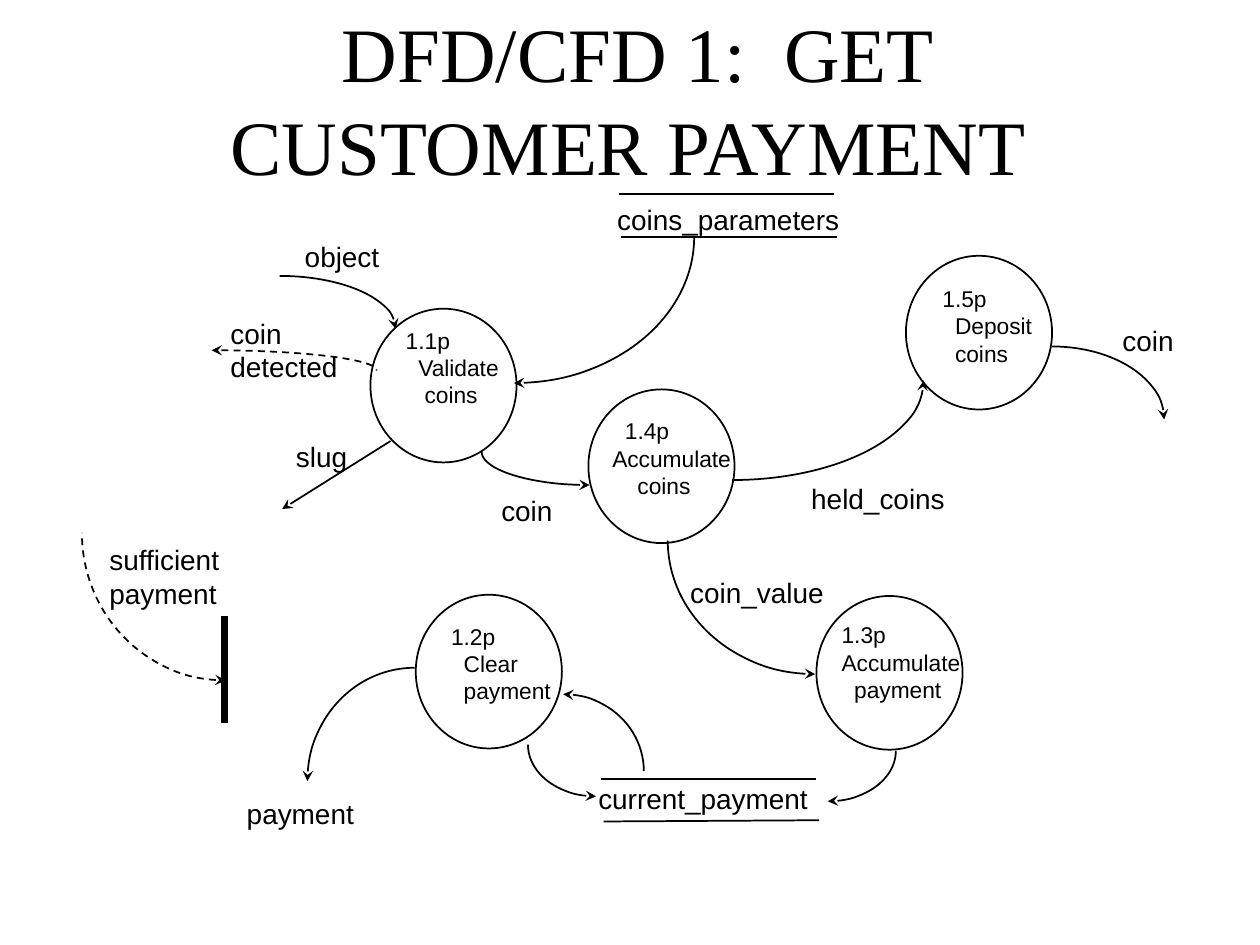
from dataclasses import dataclass

from lxml.etree import SubElement
from pptx import Presentation
from pptx.dml.color import RGBColor
from pptx.enum.dml import MSO_LINE_DASH_STYLE as DASH
from pptx.enum.shapes import MSO_CONNECTOR, MSO_SHAPE
from pptx.enum.text import MSO_ANCHOR, MSO_AUTO_SIZE, PP_ALIGN
from pptx.oxml.ns import qn
from pptx.util import Inches, Pt


@dataclass(frozen=True)
class Theme:
    ink: RGBColor = RGBColor(0, 0, 0)
    paper: RGBColor = RGBColor(255, 255, 255)
    title_font: str = "Times New Roman"
    body_font: str = "Arial"
    title_size: int = 44
    label_size: int = 16
    process_size: int = 13
    thin: int = 1
    thick: int = 4


THEME = Theme()
PROCESS_SIZE = (1.16, 1.22)
SPACE = 0.05

TITLE = "DFD/CFD 1:  GET CUSTOMER PAYMENT "

# circle corner, text box, lines with their indent in spaces
PROCESSES = [
    ((7.19, 2.03), (7.3, 2.22, 0.97, 0.73), [("1.5p", 2), ("Deposit", 4), ("coins", 4)]),
    ((4.67, 3.09), (4.78, 3.27, 1.1, 0.73), [("1.4p", 2), ("Accumulate", 0), ("coins", 4)]),
    ((3.3, 4.72), (3.4, 4.9, 1.05, 0.73), [("1.2p", 2), ("Clear", 4), ("payment", 4)]),
    ((6.48, 4.73), (6.5, 4.89, 1.2, 0.73), [("1.3p", 2), ("Accumulate", 2), ("payment", 4)]),
    ((2.94, 2.45), (3.04, 2.55, 1.01, 0.73), [("1.1p", 2), ("Validate", 4), ("coins", 5)]),
]

LABELS = [
    (["object"], (2.32, 1.85, 0.79, 0.37)),
    (["slug"], (2.25, 3.44, 0.61, 0.37)),
    (["coins_parameters"], (4.8, 1.56, 1.96, 0.37)),
    (["coin"], (8.81, 2.52, 0.61, 0.37)),
    (["held_coins"], (6.34, 3.77, 1.26, 0.37)),
    (["coin"], (3.88, 3.87, 0.61, 0.37)),
    (["coin_value"], (5.38, 4.52, 1.26, 0.37)),
    (["sufficient", "payment"], (0.77, 4.26, 1.08, 0.63)),
    (["coin", "detected"], (1.73, 2.46, 1.05, 0.63)),
    (["payment"], (1.86, 6.27, 1.05, 0.37)),
    (["current_payment"], (4.65, 6.15, 1.87, 0.37)),
]

STORE_LINES = [
    ((4.91, 1.54), (6.62, 1.54)),
    ((4.93, 1.88), (6.64, 1.88)),
    ((4.77, 6.18), (6.48, 6.18)),
    ((4.79, 6.52), (6.5, 6.51)),
]
CONTROL_BAR = ((1.78, 4.89), (1.78, 5.74))
SLUG_FLOW = ((3.1, 3.5), (2.24, 4.04))

# start, end, direction in which the flow leaves its start
DATA_FLOWS = [
    ((2.22, 2.19), (3.14, 2.61), "across"),
    ((8.35, 2.75), (9.24, 3.33), "across"),
    ((5.81, 3.81), (7.33, 3.02), "across"),
    ((5.51, 1.88), (4.08, 3.04), "down"),
    ((3.82, 3.58), (4.68, 3.85), "down"),
    ((5.3, 4.29), (6.47, 5.35), "down"),
    ((3.29, 5.3), (2.44, 6.2), "across"),
    ((7.11, 5.96), (6.57, 6.36), "down"),
    ((4.19, 5.91), (4.73, 6.32), "down"),
    ((5.11, 6.12), (4.47, 5.51), "up"),
]
CONTROL_FLOWS = [
    ((0.65, 4.23), (1.79, 5.4), "down"),
    ((2.99, 2.94), (1.68, 2.78), "up"),
]
QUADRANT_START = {(True, True): 0, (False, True): 90,
                  (False, False): 180, (True, False): 270}


def inches(values):
    return [Inches(v) for v in values]


def style_line(shape, width=THEME.thin):
    shape.line.color.rgb = THEME.ink
    shape.line.width = Pt(width)


def add_arrow(shape, end):
    SubElement(shape.line._get_or_add_ln(), qn(f"a:{end}End"), type="stealth")


def add_text(slide, box, lines, size, font=THEME.body_font, inset=0.1, wrap=False):
    frame = slide.shapes.add_textbox(*inches(box)).text_frame
    frame.word_wrap = wrap
    frame.auto_size = MSO_AUTO_SIZE.SHAPE_TO_FIT_TEXT
    frame.margin_left = frame.margin_right = Inches(inset)
    frame.margin_top = frame.margin_bottom = Inches(inset / 2)
    for i, (text, indent) in enumerate(lines):
        paragraph = frame.paragraphs[0] if i == 0 else frame.add_paragraph()
        paragraph.text = text
        if indent:
            paragraph._p.get_or_add_pPr().set("marL", str(Inches(indent * SPACE)))
        paragraph.font.name = font
        paragraph.font.size = Pt(size)
        paragraph.font.color.rgb = THEME.ink
    return frame


def add_straight(slide, start, end, width=THEME.thin):
    line = slide.shapes.add_connector(MSO_CONNECTOR.STRAIGHT, *inches(start + end))
    style_line(line, width)
    SubElement(line._element.spPr, qn("a:effectLst"))
    return line


def add_flow(slide, start, end, leaves, dashed=False):
    (x0, y0), (x1, y1) = start, end
    across = leaves == "across"
    cx, cy = (x0, y1) if across else (x1, y0)
    rx, ry = abs(x1 - x0), abs(y1 - y0)
    angle = QUADRANT_START[max(x0, x1) > cx, max(y0, y1) > cy]
    arc = slide.shapes.add_shape(
        MSO_SHAPE.ARC, *inches((cx - rx, cy - ry, 2 * rx, 2 * ry)))
    arc.adjustments[0] = angle * 0.6
    arc.adjustments[1] = (angle + 90) % 360 * 0.6
    arc.shadow.inherit = False
    arc.fill.background()
    style_line(arc)
    if dashed:
        arc.line.dash_style = DASH.DASH
    clockwise = across == (angle in (90, 270))
    add_arrow(arc, "tail" if clockwise else "head")


def main():
    prs = Presentation()
    prs.slide_width, prs.slide_height = inches((10, 7.5))
    slide = prs.slides.add_slide(prs.slide_layouts[6])

    title = add_text(slide, (1, 0, 8.12, 1.56), [(TITLE, 0)],
                     THEME.title_size, THEME.title_font, wrap=True)
    title.vertical_anchor = MSO_ANCHOR.MIDDLE
    title.paragraphs[0].alignment = PP_ALIGN.CENTER

    for corner, box, lines in PROCESSES:
        circle = slide.shapes.add_shape(MSO_SHAPE.OVAL, *inches(corner + PROCESS_SIZE))
        circle.shadow.inherit = False
        circle.fill.solid()
        circle.fill.fore_color.rgb = THEME.paper
        style_line(circle)
        add_text(slide, box, lines, THEME.process_size, inset=0.08)

    for start, end in STORE_LINES:
        add_straight(slide, start, end)
    add_straight(slide, *CONTROL_BAR, THEME.thick)
    add_arrow(add_straight(slide, *SLUG_FLOW), "tail")

    for flow in DATA_FLOWS:
        add_flow(slide, *flow)
    for flow in CONTROL_FLOWS:
        add_flow(slide, *flow, dashed=True)

    for lines, box in LABELS:
        add_text(slide, box, [(line, 0) for line in lines], THEME.label_size)

    prs.save("out.pptx")


if __name__ == "__main__":
    main()
